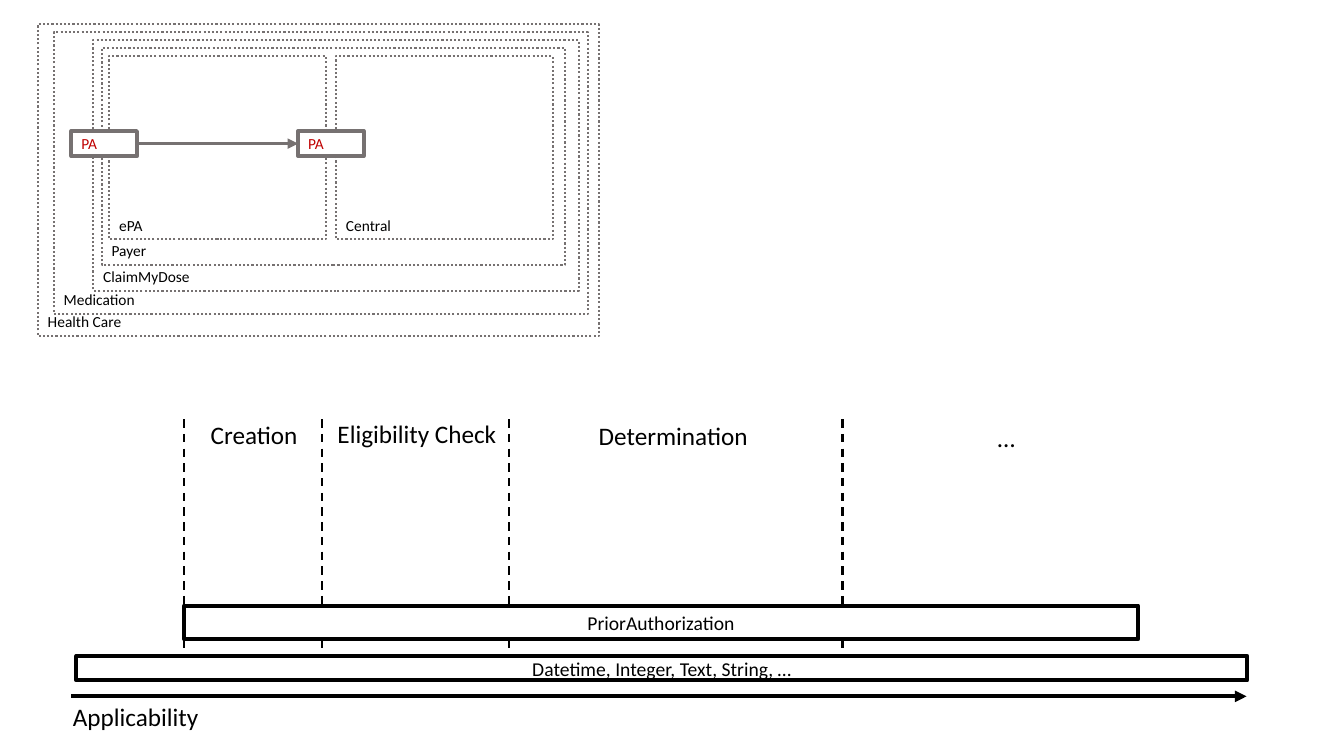
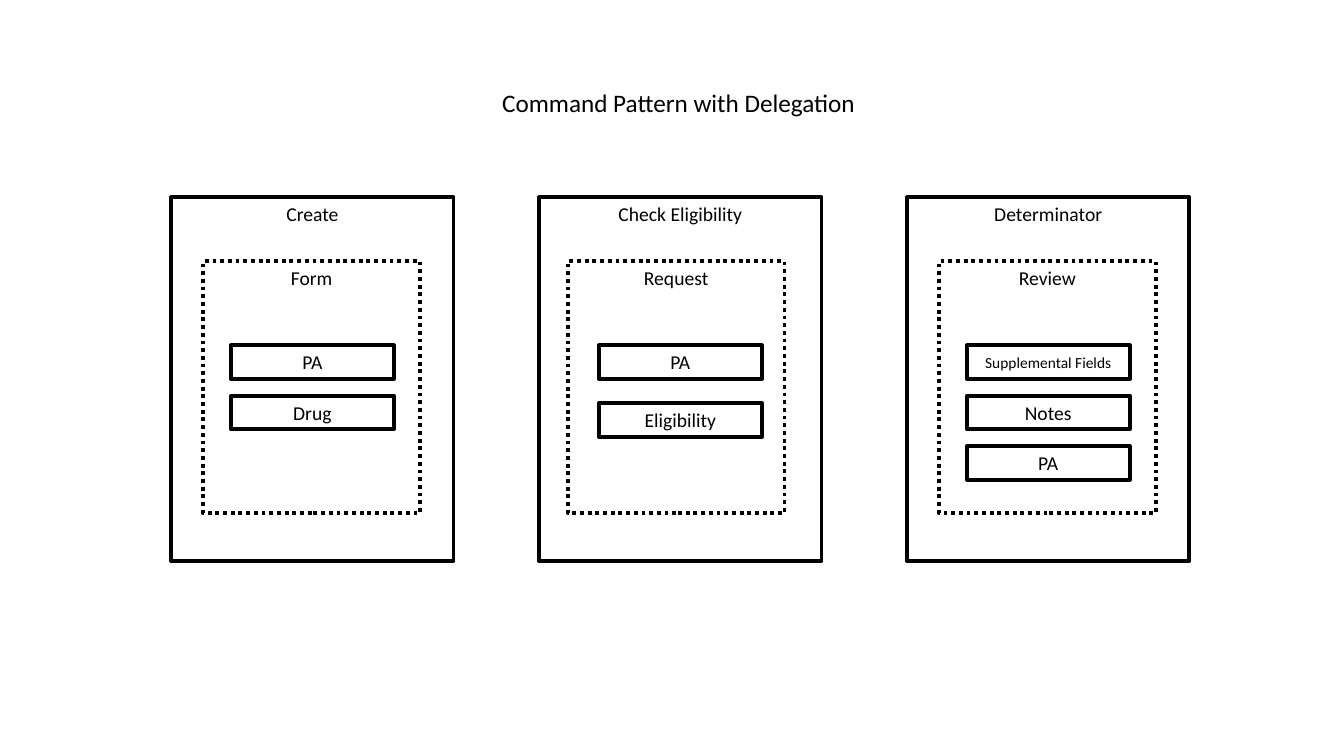
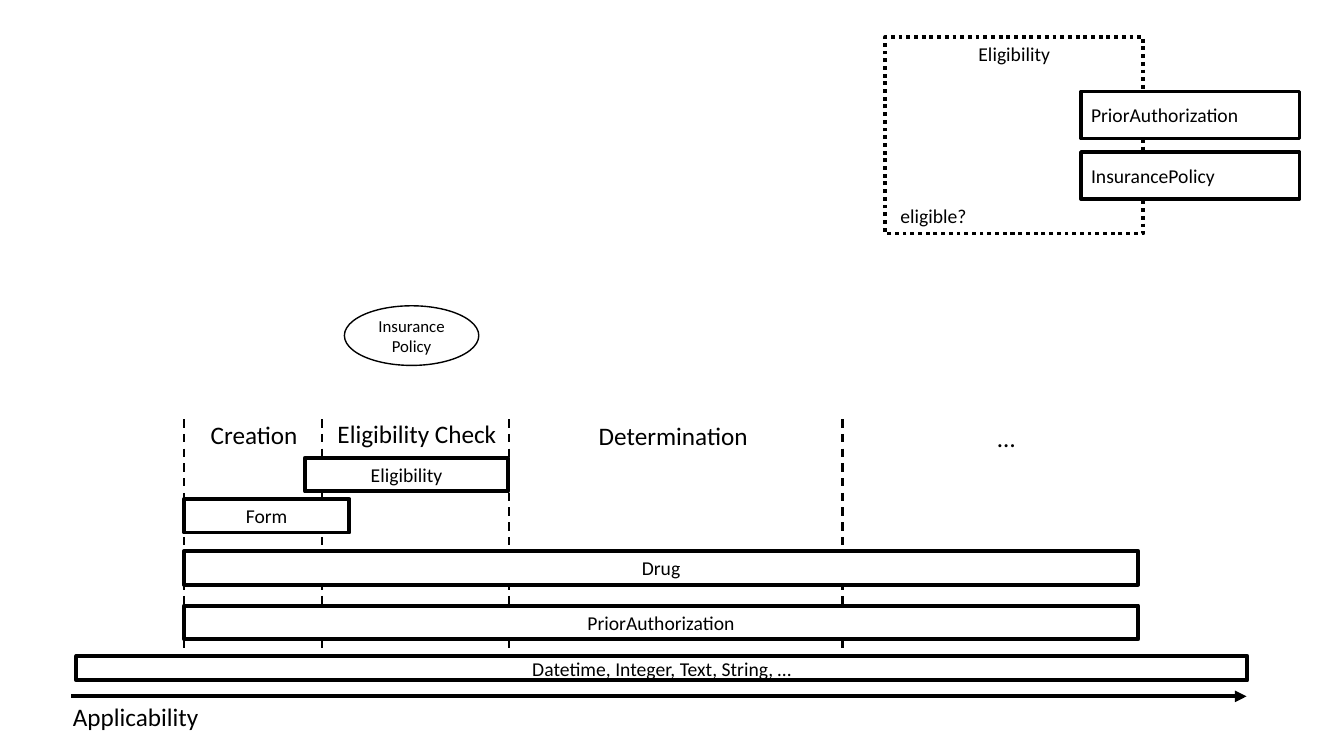
import collections

import pptx
import pptx.dml.color
import pptx.enum.dml
import pptx.enum.shapes
import pptx.enum.text
import pptx.oxml.ns
import pptx.util
from lxml import etree

COLS, ROWS = 160, 90  # square grid cells, twelve to the inch
CELL = pptx.util.Inches(1) / 12
FONT = "Calibri"
COLORS = {"ink": "000000", "paper": "FFFFFF", "grey": "767171", "red": "C00000"}
HEAVY, MEDIUM, THIN = 2.75, 1.5, 1

SHAPE = pptx.enum.shapes.MSO_SHAPE
DASH = pptx.enum.dml.MSO_LINE
ALIGN = pptx.enum.text.PP_ALIGN
ANCHOR = pptx.enum.text.MSO_ANCHOR


class Box(collections.namedtuple("Box", "x y w h")):
    def inside(self, dx, dy, w, h):
        """Box of the given size, offset from this box's top left corner."""
        return Box(self.x + dx, self.y + dy, w, h)

    def emu(self):
        return [cells(v) for v in self]


def cells(n):
    return pptx.util.Emu(round(n * CELL))


def rgb(name):
    return pptx.dml.color.RGBColor.from_string(COLORS[name])


def write_text(sp, text, size=14, color="ink", align=ALIGN.CENTER,
               anchor=ANCHOR.MIDDLE, wrap=True):
    tf = sp.text_frame
    tf.word_wrap = wrap
    tf.vertical_anchor = anchor
    p = tf.paragraphs[0]
    p.alignment = align
    r = p.add_run()
    r.text = text
    r.font.name = FONT
    r.font.size = pptx.util.Pt(size)
    r.font.color.rgb = rgb(color)


def style_line(line, color, width, dash=None):
    line.color.rgb = rgb(color)
    line.width = pptx.util.Pt(width)
    if dash is not None:
        line.dash_style = dash


def add_block(shapes, box, text, kind=SHAPE.RECTANGLE, fill="paper", line="ink",
              width=HEAVY, dash=None, **text_format):
    sp = shapes.add_shape(kind, *box.emu())
    sp.shadow.inherit = False
    if fill:
        sp.fill.solid()
        sp.fill.fore_color.rgb = rgb(fill)
    else:
        sp.fill.background()
    style_line(sp.line, line, width, dash)
    write_text(sp, text, **text_format)
    return sp


def add_label(shapes, box, text, size=18):
    sp = shapes.add_textbox(*box.emu())
    write_text(sp, text, size=size, align=ALIGN.LEFT, anchor=ANCHOR.TOP, wrap=False)
    sp.text_frame.auto_size = pptx.enum.text.MSO_AUTO_SIZE.SHAPE_TO_FIT_TEXT


def add_line(shapes, x1, y1, x2, y2, color="ink", width=HEAVY, dash=None, arrow=False):
    cxn = shapes.add_connector(pptx.enum.shapes.MSO_CONNECTOR.STRAIGHT,
                               cells(x1), cells(y1), cells(x2), cells(y2))
    style_line(cxn.line, color, width, dash)
    qn = pptx.oxml.ns.qn
    if arrow:
        etree.SubElement(cxn.line._get_or_add_ln(), qn("a:tailEnd"), type="triangle")
    etree.SubElement(cxn._element.spPr, qn("a:effectLst"))
    return cxn


def draw_nested_contexts(slide, box):
    shapes = slide.shapes.add_group_shape().shapes
    step = 0.95
    contexts = [  # name, nesting level, offset, width, height
        ("Health Care", 0, 0, box.w, box.h),
        ("Medication", 1, 1.9, 63.6, 33.5),
        ("ClaimMyDose", 2, 6.6, 57.8, 29.8),
        ("Payer", 3, 7.6, 55.2, 25.8),
        ("ePA", 4, 8.5, 25.8, 21.8),
        ("Central", 4, 35.5, 25.8, 21.8),
    ]
    for name, level, dx, w, h in contexts:
        add_block(shapes, box.inside(dx, level * step, w, h), name, line="grey",
                  width=MEDIUM, dash=DASH.ROUND_DOT, size=11, align=ALIGN.LEFT,
                  anchor=ANCHOR.BOTTOM)
    sender, receiver = [
        add_block(shapes, box.inside(dx - 4.5, 12.7, 7.8, 3), "PA", line="grey",
                  size=11, color="red", align=ALIGN.LEFT)
        for _, _, dx, _, _ in contexts[-2:]]
    cxn = add_line(shapes, 0, 0, 1, 1, color="grey", width=2.5, arrow=True)
    cxn.begin_connect(sender, 3)
    cxn.end_connect(receiver, 1)


def draw_timeline(slide, box, bars):
    """Stages above an applicability arrow; bars are (text, column, row, width)."""
    shapes = slide.shapes
    axis = box.y + 33.7
    add_line(shapes, box.x, axis, box.x + box.w, axis, arrow=True)
    add_label(shapes, box.inside(-1, 33.7, 17.5, 4.8), "Applicability")
    add_block(shapes, box.inside(0.6, 28.9, 139.4, 2.9),
              "Datetime, Integer, Text, String, …")
    stages = [  # name, start, label column, label row, label width
        ("Creation", 13.4, 15.4, 0.1, 12.8),
        ("Eligibility Check", 29.8, 30.5, 0, 21.6),
        ("Determination", 52.1, 61.6, 0.2, 20.4),
        ("…", 91.8, 109.1, 0.5, 4.6),
    ]
    for name, start, dx, dy, w in stages:
        add_line(shapes, box.x + start, box.y + 0.7, box.x + start, box.y + 28.9,
                 width=MEDIUM, dash=DASH.DASH)
        add_label(shapes, box.inside(dx, dy, w, 4.8), name)
    for text, dx, dy, w in bars:
        add_block(shapes, box.inside(dx, dy, w, 4), text)


def draw_command(slide, box, name, delegate, delegate_dx, parts, pitch):
    """A command holding a dotted delegate with a stack of parts."""
    shapes = slide.shapes
    add_block(shapes, box, name, anchor=ANCHOR.TOP)
    add_block(shapes, box.inside(delegate_dx, 7.6, 25.8, 30), delegate,
              dash=DASH.ROUND_DOT, anchor=ANCHOR.TOP)
    for i, part in enumerate(parts):
        add_block(shapes, box.inside(7.1, 17.6 + i * pitch, 19.4, 4), part,
                  size=11 if len(part) > 15 else 14)


def draw_eligibility(slide, box):
    shapes = slide.shapes.add_group_shape().shapes
    add_block(shapes, box, "Eligibility", fill=None, dash=DASH.ROUND_DOT,
              anchor=ANCHOR.TOP)
    for i, name in enumerate(["PriorAuthorization", "InsurancePolicy"]):
        add_block(shapes, box.inside(23.3, 6.5 + i * 7.2, 26, 5.6), name,
                  align=ALIGN.LEFT)
    add_label(shapes, box.inside(0.6, 19.3, 10.4, 4.1), "eligible?", size=14)


def build_contexts_slide(slide, timeline, prior_authorization):
    draw_nested_contexts(slide, Box(4.5, 2.9, 66.8, 37.1))
    draw_timeline(slide, timeline, [prior_authorization])


def build_commands_slide(slide):
    add_label(slide.shapes, Box(58.6, 9.8, 45, 4.8), "Command Pattern with Delegation")
    commands = [
        ("Create", "Form", 3.8, ["PA", "Drug"], 6),
        ("Check Eligibility", "Request", 3.4, ["PA", "Eligibility"], 6.9),
        ("Determinator", "Review", 3.8, ["Supplemental Fields", "Notes", "PA"], 6),
    ]
    for i, command in enumerate(commands):
        draw_command(slide, Box(20.4 + i * 43.8, 23.5, 33.6, 43.3), *command)


def build_eligibility_slide(slide, timeline, prior_authorization):
    draw_timeline(slide, timeline, [
        ("Drug", 13.4, 16.4, 113.6),
        ("Form", 13.4, 10.2, 19.7),
        prior_authorization,
        ("Eligibility", 27.8, 5.3, 24.2),
    ])
    add_block(slide.shapes, Box(41, 36.4, 16, 7.1), "Insurance Policy",
              kind=SHAPE.OVAL, width=THIN, size=12)
    draw_eligibility(slide, Box(105.4, 4.4, 30.7, 23.4))


def main():
    prs = pptx.Presentation()
    prs.slide_width, prs.slide_height = cells(COLS), cells(ROWS)
    contexts, commands, eligibility = [
        prs.slides.add_slide(prs.slide_layouts[6]) for _ in range(3)]
    timeline = Box(8.5, 49.2, 139.9, 38.5)
    prior_authorization = ("PriorAuthorization", 13.4, 22.9, 113.6)
    build_contexts_slide(contexts, timeline, prior_authorization)
    build_commands_slide(commands)
    build_eligibility_slide(eligibility, timeline, prior_authorization)
    prs.save("out.pptx")


if __name__ == "__main__":
    main()
